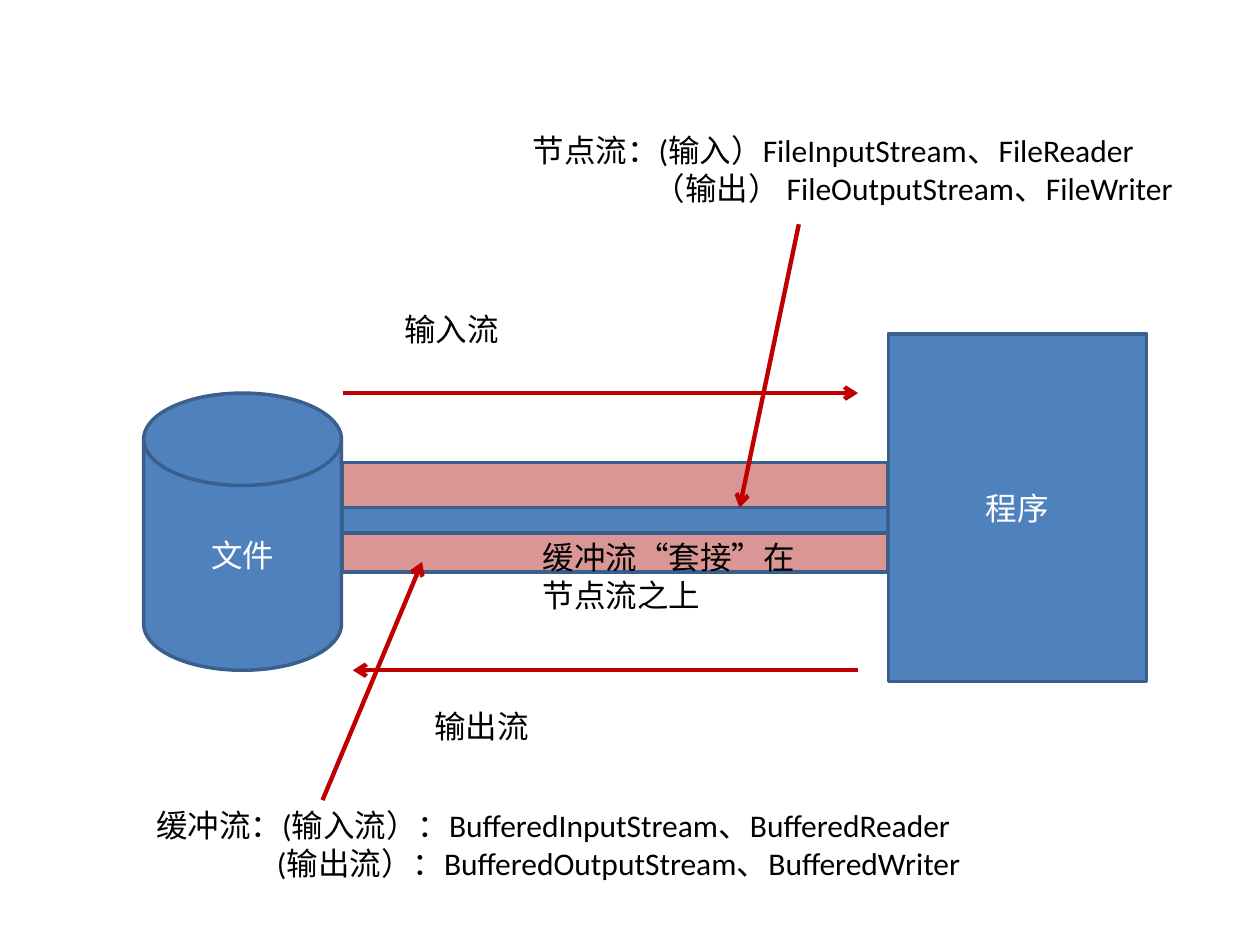
from dataclasses import dataclass

from lxml import etree
from pptx import Presentation
from pptx import util as u
from pptx.dml.color import RGBColor
from pptx.enum import shapes, text
from pptx.oxml.ns import qn


@dataclass(frozen=True)
class Theme:
    font: str = "Calibri"
    size: int = 18
    background: str = "FFFFFF"
    ink: str = "000000"
    light: str = "FFFFFF"
    blue: str = "4F81BD"
    outline: str = "3A5F8C"
    pink: str = "D99694"
    red: str = "C00000"
    border: float = 2
    arrow: float = 2.5


THEME = Theme()
RECT = shapes.MSO_SHAPE.RECTANGLE
DISK = shapes.MSO_SHAPE.FLOWCHART_MAGNETIC_DISK


def rgb(value):
    return RGBColor.from_string(value)


def inches(*values):
    return [u.Inches(v) for v in values]


def add_run(p, words, color):
    r = p.add_run()
    r.text = words
    r.font.name = THEME.font
    r.font.size = u.Pt(THEME.size)
    r.font.color.rgb = rgb(color)


def add_block(slide, kind, box, fill, label=None):
    sp = slide.shapes.add_shape(kind, *inches(*box))
    sp.shadow.inherit = False
    sp.fill.solid()
    sp.fill.fore_color.rgb = rgb(fill)
    sp.line.color.rgb = rgb(THEME.outline)
    sp.line.width = u.Pt(THEME.border)
    if label:
        tf = sp.text_frame
        tf.vertical_anchor = text.MSO_ANCHOR.MIDDLE
        p = tf.paragraphs[0]
        p.alignment = text.PP_ALIGN.CENTER
        add_run(p, label, THEME.light)


def add_note(slide, box, *lines, indent=0):
    """Text box whose lines after the first are indented."""
    tf = slide.shapes.add_textbox(*inches(*box)).text_frame
    tf.word_wrap = True
    for i, line in enumerate(lines):
        p = tf.add_paragraph() if i else tf.paragraphs[0]
        if i and indent:
            p._p.get_or_add_pPr().set("marL", str(u.Inches(indent)))
        add_run(p, line, THEME.ink)


def add_arrow(slide, start, end):
    line = slide.shapes.add_connector(
        shapes.MSO_CONNECTOR.STRAIGHT, *inches(*start, *end))
    line.line.color.rgb = rgb(THEME.red)
    line.line.width = u.Pt(THEME.arrow)
    etree.SubElement(line.line._get_or_add_ln(), qn("a:tailEnd"), type="arrow")
    etree.SubElement(line._element.spPr, qn("a:effectLst"))


def draw_pipeline(slide, left, top, width, height):
    """File and program joined by a node stream inside a buffered stream."""
    disk_w, program_w = 1.57, 2.05
    pipe_x = left + disk_w + 0.01
    program_x = left + width - program_w
    pipe_w = program_x - pipe_x
    add_block(slide, RECT, (pipe_x, top + 1.02, pipe_w, 0.87), THEME.pink)
    add_block(slide, DISK, (left, top + 0.47, disk_w, 2.2), THEME.blue, "文件")
    add_block(slide, RECT, (program_x, top, program_w, height),
              THEME.blue, "程序")
    add_block(slide, RECT, (pipe_x, top + 1.38, pipe_w, 0.2), THEME.blue)


def draw_directions(slide, left, top, width, height):
    """Input arrow along the top of the box, output arrow along its bottom."""
    right, bottom = left + width, top + height
    add_arrow(slide, (left, top), (right, top))
    add_arrow(slide, (right, bottom), (left + 0.08, bottom))
    add_note(slide, (left + 0.39, top - 0.71, 2.2, 0.4), "输入流")
    add_note(slide, (left + 0.63, bottom + 0.24, 2.2, 0.4), "输出流")


def draw_callout(slide, box, lines, start, end):
    """Class list with an arrow to the stream it describes."""
    add_arrow(slide, start, end)
    add_note(slide, box, *lines, indent=0.96)


def main():
    prs = Presentation()
    prs.slide_width, prs.slide_height = inches(10, 7.5)
    slide = prs.slides.add_slide(prs.slide_layouts[6])
    slide.background.fill.solid()
    slide.background.fill.fore_color.rgb = rgb(THEME.background)

    draw_pipeline(slide, 1.14, 2.65, 7.96, 2.76)
    draw_directions(slide, 2.72, 3.12, 4.09, 2.2)
    # Node streams
    draw_callout(slide, (4.13, 0.99, 5.67, 0.71),
                 ("节点流：(输入）FileInputStream、FileReader",
                  "（输出） FileOutputStream、FileWriter"),
                 (6.34, 1.78), (5.87, 4.03))
    # Buffered streams
    draw_callout(slide, (1.14, 6.35, 7.17, 0.71),
                 ("缓冲流：(输入流）：BufferedInputStream、BufferedReader",
                  "(输出流）：BufferedOutputStream、BufferedWriter"),
                 (2.56, 6.35), (3.35, 4.46))
    # How the two nest
    add_note(slide, (4.21, 4.22, 2.2, 0.71), "缓冲流“套接”在节点流之上")

    prs.save("out.pptx")


if __name__ == "__main__":
    main()
